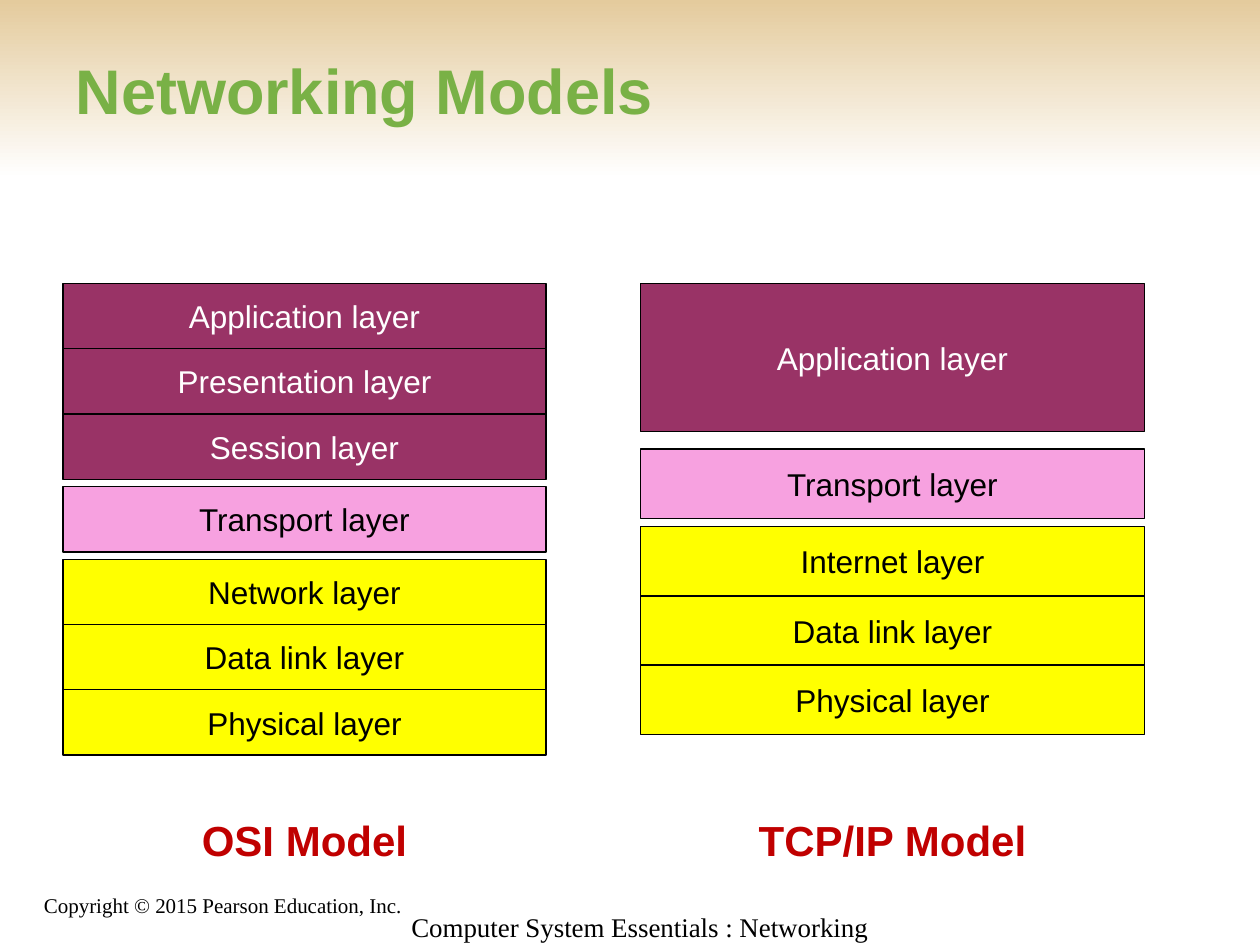
from pptx import Presentation
from pptx.dml.color import RGBColor
from pptx.enum.shapes import MSO_SHAPE
from pptx.enum.text import MSO_ANCHOR, MSO_AUTO_SIZE, PP_ALIGN
from pptx.util import Pt

RECT = MSO_SHAPE.RECTANGLE
TOP, MIDDLE, BOTTOM = MSO_ANCHOR.TOP, MSO_ANCHOR.MIDDLE, MSO_ANCHOR.BOTTOM
LEFT, CENTER = PP_ALIGN.LEFT, PP_ALIGN.CENTER
NO_AUTOFIT = MSO_AUTO_SIZE.NONE

SANS, SERIF = "Arial", "Times New Roman"
COLORS = {
    "sand": "E4CB9D", "white": "FFFFFF", "black": "000000",
    "title": "79B146", "caption": "C00000",
    "application": "993366", "transport": "F7A1E0", "network": "FFFF00",
}

# Each band: kind, row height, gap below, layer names
OSI_BANDS = [
    ("application", 37.3, 4.2,
     ["Application layer", "Presentation layer", "Session layer"]),
    ("transport", 37.3, 4.2, ["Transport layer"]),
    ("network", 37.3, 0,
     ["Network layer", "Data link layer", "Physical layer"]),
]
TCP_IP_BANDS = [
    ("application", 84.8, 9.8, ["Application layer"]),
    ("transport", 39.6, 4.7, ["Transport layer"]),
    ("network", 39.6, 0,
     ["Internet layer", "Data link layer", "Physical layer"]),
]


def rgb(name):
    return RGBColor.from_string(COLORS[name])


def put_text(sp, text, size=18, font=SANS, color="black", bold=False,
             align=LEFT, anchor=TOP, wrap=True, spacing=None):
    tf = sp.text_frame
    tf.auto_size = NO_AUTOFIT
    tf.word_wrap = wrap
    tf.vertical_anchor = anchor
    p = tf.paragraphs[0]
    p.alignment = align
    if spacing:
        p.line_spacing = spacing
    r = p.add_run()
    r.text = text
    r.font.size = Pt(size)
    r.font.name = font
    r.font.bold = bold
    r.font.color.rgb = rgb(color)


def add_label(slide, x, y, w, h, text, **style):
    sp = slide.shapes.add_textbox(Pt(x), Pt(y), Pt(w), Pt(h))
    put_text(sp, text, **style)


def add_header(slide, x, y, w, h):
    """Fading band across the top with the slide title on it."""
    band = slide.shapes.add_shape(RECT, Pt(x), Pt(y), Pt(w), Pt(h))
    band.shadow.inherit = False
    band.line.fill.background()
    band.fill.gradient()
    band.fill.gradient_angle = 270
    for stop, color in zip(band.fill.gradient_stops, ("sand", "white")):
        stop.color.rgb = rgb(color)

    title = slide.shapes.title
    band._element.getparent().remove(band._element)
    title._element.addprevious(band._element)
    title.left, title.top = Pt(x + 36), Pt(y + 6)
    title.width, title.height = Pt(w - 66), Pt(h - 12)
    put_text(title, "Networking Models", size=36, color="title",
             bold=True, anchor=MIDDLE)


def add_layer(group, x, y, w, h, text, kind):
    sp = group.shapes.add_shape(RECT, Pt(x), Pt(y), Pt(w), Pt(h))
    sp.shadow.inherit = False
    sp.fill.solid()
    sp.fill.fore_color.rgb = rgb(kind)
    sp.line.color.rgb = rgb("black")
    sp.line.width = Pt(0.75)
    put_text(sp, text, color="white" if kind == "application" else "black",
             align=CENTER, anchor=MIDDLE, wrap=False)


def add_model(slide, x, y, w, h, name, bands):
    """Stack of layers from the top of the box, model name at its foot."""
    group = slide.shapes.add_group_shape()
    top = y
    for kind, row_h, gap, layers in bands:
        for layer in layers:
            add_layer(group, x, top, w, row_h, layer, kind)
            top += row_h
        top += gap
    name_w, name_h = 176, 36
    add_label(slide, x + (w - name_w) / 2, y + h - name_h, name_w, name_h,
              name, size=24, color="caption", bold=True, align=CENTER)


def add_footer(slide, x, y):
    add_label(slide, x, y, 438, 30, "Copyright © 2015 Pearson Education, Inc.",
              size=12, font=SERIF, anchor=BOTTOM)
    add_label(slide, x + 210, y + 22.5, 282, 37,
              "Computer System Essentials : Networking",
              size=15.4, font=SERIF, spacing=0.8)


def main():
    prs = Presentation()
    prs.slide_width, prs.slide_height = Pt(720), Pt(540)
    slide = prs.slides.add_slide(prs.slide_layouts[5])
    add_header(slide, 0, 0, 720, 102)
    add_model(slide, 36, 162, 276, 336, "OSI Model", OSI_BANDS)
    add_model(slide, 366, 162, 288, 336, "TCP/IP Model", TCP_IP_BANDS)
    add_footer(slide, 18, 498)
    prs.save("out.pptx")


if __name__ == "__main__":
    main()
